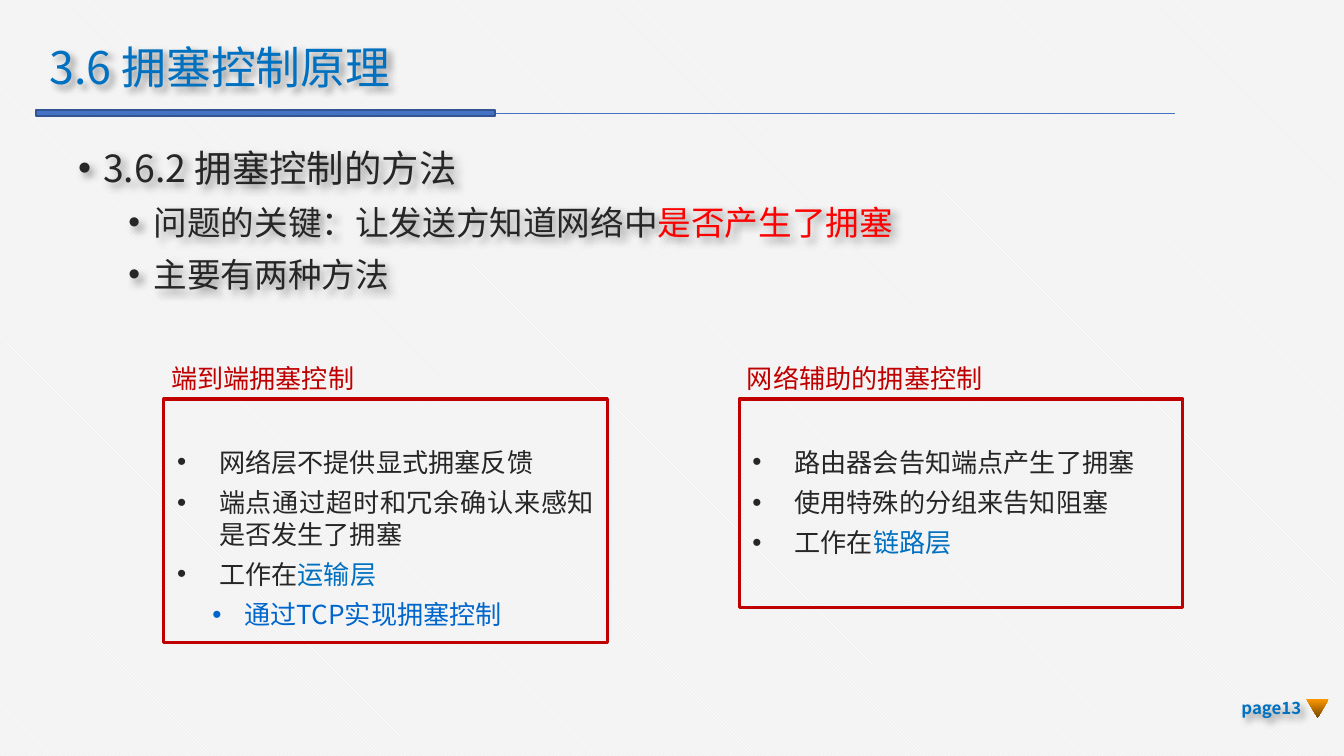
import pptx
import pptx.util
import pptx.dml.color
import pptx.enum.dml
import pptx.enum.shapes
import pptx.enum.text
import pptx.oxml
import pptx.oxml.ns
from lxml import etree

Pt = pptx.util.Pt
RGBColor = pptx.dml.color.RGBColor
ALIGN = pptx.enum.text.PP_ALIGN
ANCHOR = pptx.enum.text.MSO_ANCHOR
SHAPE = pptx.enum.shapes.MSO_SHAPE
FONT = "Noto Sans CJK SC"
COLORS = {
    "white": "FFFFFF", "paper": "F2F2F2", "bar": "4472C4", "bar edge": "325491",
    "text": "262626", "alert": "FF0000", "blue": "0070C0", "deep blue": "0066CC",
    "red": "C00000", "orange": "FF9900", "brown": "764700",
}
color = {name: RGBColor.from_string(value) for name, value in COLORS.items()}


def write_text(shape, paragraphs, frame_format):
    """Each paragraph is (format, left indent, hanging, size, [(text, colour)])."""
    frame = shape.text_frame
    frame.word_wrap = True
    frame.auto_size = pptx.enum.text.MSO_AUTO_SIZE.NONE
    for name, value in frame_format.items():
        setattr(frame, name, value)
    for index, (paragraph_format, left, hanging, size, runs) in enumerate(paragraphs):
        paragraph = frame.paragraphs[0] if index == 0 else frame.add_paragraph()
        for name, value in paragraph_format.items():
            setattr(paragraph, name, value)
        if index == 0:
            paragraph.space_before = Pt(0)
        if hanging:
            properties = paragraph._p.get_or_add_pPr()
            properties.set("marL", str(Pt(left)))
            properties.set("indent", str(Pt(-hanging)))
            bullet_font = etree.SubElement(properties, pptx.oxml.ns.qn("a:buFont"))
            bullet_font.set("typeface", "Arial")
            etree.SubElement(properties, pptx.oxml.ns.qn("a:buChar")).set("char", "•")
        for text, color_name in runs:
            run = paragraph.add_run()
            run.text = text
            run.font.size = Pt(size)
            run.font.name = FONT
            run.font.color.rgb = color[color_name]
            east_asian = etree.SubElement(run._r.get_or_add_rPr(), pptx.oxml.ns.qn("a:ea"))
            east_asian.set("typeface", FONT)


def add_soft_shadow(shape):
    shape._element.spPr.append(pptx.oxml.parse_xml(
        f'<a:effectLst {pptx.oxml.ns.nsdecls("a")}>'
        '<a:outerShdw blurRad="50800" dist="38100" dir="2700000" algn="tl" rotWithShape="0">'
        '<a:srgbClr val="000000"><a:alpha val="40000"/></a:srgbClr>'
        '</a:outerShdw></a:effectLst>'))


presentation = pptx.Presentation()
presentation.slide_width, presentation.slide_height = Pt(720), Pt(405)
slide = presentation.slides.add_slide(presentation.slide_layouts[1])
shapes = slide.shapes

# Patterned background
background = slide.background.fill
background.patterned()
background.pattern = pptx.enum.dml.MSO_PATTERN.DARK_DOWNWARD_DIAGONAL
background.fore_color.rgb = color["white"]
background.back_color.rgb = color["paper"]

# Rule and bar under the title
rule = shapes.add_connector(
    pptx.enum.shapes.MSO_CONNECTOR.STRAIGHT, Pt(629.3), Pt(60.6), Pt(19.2), Pt(60.6))
rule.line.color.rgb = color["bar"]
rule.line.width = Pt(0.5)
etree.SubElement(rule._element.spPr, pptx.oxml.ns.qn("a:effectLst"))

bar = shapes.add_shape(SHAPE.RECTANGLE, Pt(19.2), Pt(58.8), Pt(246.2), Pt(3.6))
bar.shadow.inherit = False
bar.fill.solid()
bar.fill.fore_color.rgb = color["bar"]
bar.line.color.rgb = color["bar edge"]
bar.line.width = Pt(1)

# Title and main list
title, body = shapes.title, slide.placeholders[1]
places = [(title, (19.2, 21.6, 246.2, 31.7)), (body, (36.7, 73.4, 504.7, 105.8))]
for placeholder, place in places:
    for name, value in zip(("left", "top", "width", "height"), place):
        setattr(placeholder, name, Pt(value))
    add_soft_shadow(placeholder)

write_text(
    title,
    [({"alignment": ALIGN.LEFT, "line_spacing": 0.9}, 0, 0, 24, [("3.6 拥塞控制原理", "blue")])],
    {"vertical_anchor": ANCHOR.MIDDLE})

topic = {"alignment": ALIGN.LEFT, "line_spacing": Pt(24.3)}
point = {"alignment": ALIGN.LEFT, "line_spacing": Pt(22), "space_before": Pt(6), "level": 1}
write_text(
    body,
    [
        (topic, 13.5, 13.5, 20, [("3.6.2 拥塞控制的方法", "text")]),
        (point, 40.5, 13.5, 18, [("问题的关键：让发送方知道网络中", "text"),
                                 ("是否产生了拥塞", "alert")]),
        (point, 40.5, 13.5, 18, [("主要有两种方法", "text")]),
    ],
    {"vertical_anchor": ANCHOR.TOP, "margin_left": Pt(5.1), "margin_right": Pt(5.1),
     "margin_top": Pt(4), "margin_bottom": Pt(2.9)})

# Two methods: framed list with a heading above
methods = [
    {"left": 87.8, "height": 130.3, "heading": "端到端拥塞控制",
     "heading left": 82.1, "heading width": 117.4, "align": ALIGN.CENTER,
     "items": ["网络层不提供显式拥塞反馈", "端点通过超时和冗余确认来感知是否发生了拥塞"],
     "layer": "运输层", "detail": "通过TCP实现拥塞控制"},
    {"left": 396, "height": 111.6, "heading": "网络辅助的拥塞控制",
     "heading left": 393.1, "heading width": 151.2, "align": ALIGN.LEFT,
     "items": ["路由器会告知端点产生了拥塞", "使用特殊的分组来告知阻塞"],
     "layer": "链路层", "detail": None},
]
item = {"alignment": ALIGN.JUSTIFY, "line_spacing": Pt(17), "space_before": Pt(4.5)}
for method in methods:
    box = shapes.add_shape(
        SHAPE.RECTANGLE, Pt(method["left"]), Pt(213.8), Pt(237.6), Pt(method["height"]))
    box.shadow.inherit = False
    box.fill.background()
    box.line.color.rgb = color["red"]
    box.line.width = Pt(1.75)
    paragraphs = [(item, 22.5, 22.5, 14, [(text, "text")]) for text in method["items"]]
    paragraphs.append(
        (item, 22.5, 22.5, 14, [("工作在", "text"), (method["layer"], "blue")]))
    if method["detail"]:
        paragraphs.append(
            (item | {"level": 1}, 36, 17, 14, [(method["detail"], "deep blue")]))
    write_text(box, paragraphs, {"vertical_anchor": ANCHOR.TOP, "margin_top": Pt(25)})

    heading = shapes.add_textbox(
        Pt(method["heading left"]), Pt(186.5), Pt(method["heading width"]), Pt(31.7))
    write_text(
        heading,
        [({"alignment": method["align"]}, 0, 0, 14, [(method["heading"], "red")])],
        {"vertical_anchor": ANCHOR.MIDDLE})

# Page number and marker
page_number = shapes.add_textbox(Pt(654.5), Pt(368.6), Pt(49.7), Pt(21.6))
write_text(
    page_number,
    [({"alignment": ALIGN.RIGHT}, 0, 0, 9, [("page13", "blue")])],
    {"vertical_anchor": ANCHOR.MIDDLE})
page_number.text_frame.paragraphs[0].runs[0].font.bold = True
add_soft_shadow(page_number)

marker = shapes.add_shape(SHAPE.FLOWCHART_MERGE, Pt(699.8), Pt(374.4), Pt(12.2), Pt(10.1))
marker.shadow.inherit = False
marker.line.fill.background()
marker.fill.gradient()
marker.fill.gradient_angle = 270
for stop, position, name in zip(marker.fill.gradient_stops, (0, 1), ("orange", "brown")):
    stop.position = position
    stop.color.rgb = color[name]

presentation.save("out.pptx")
